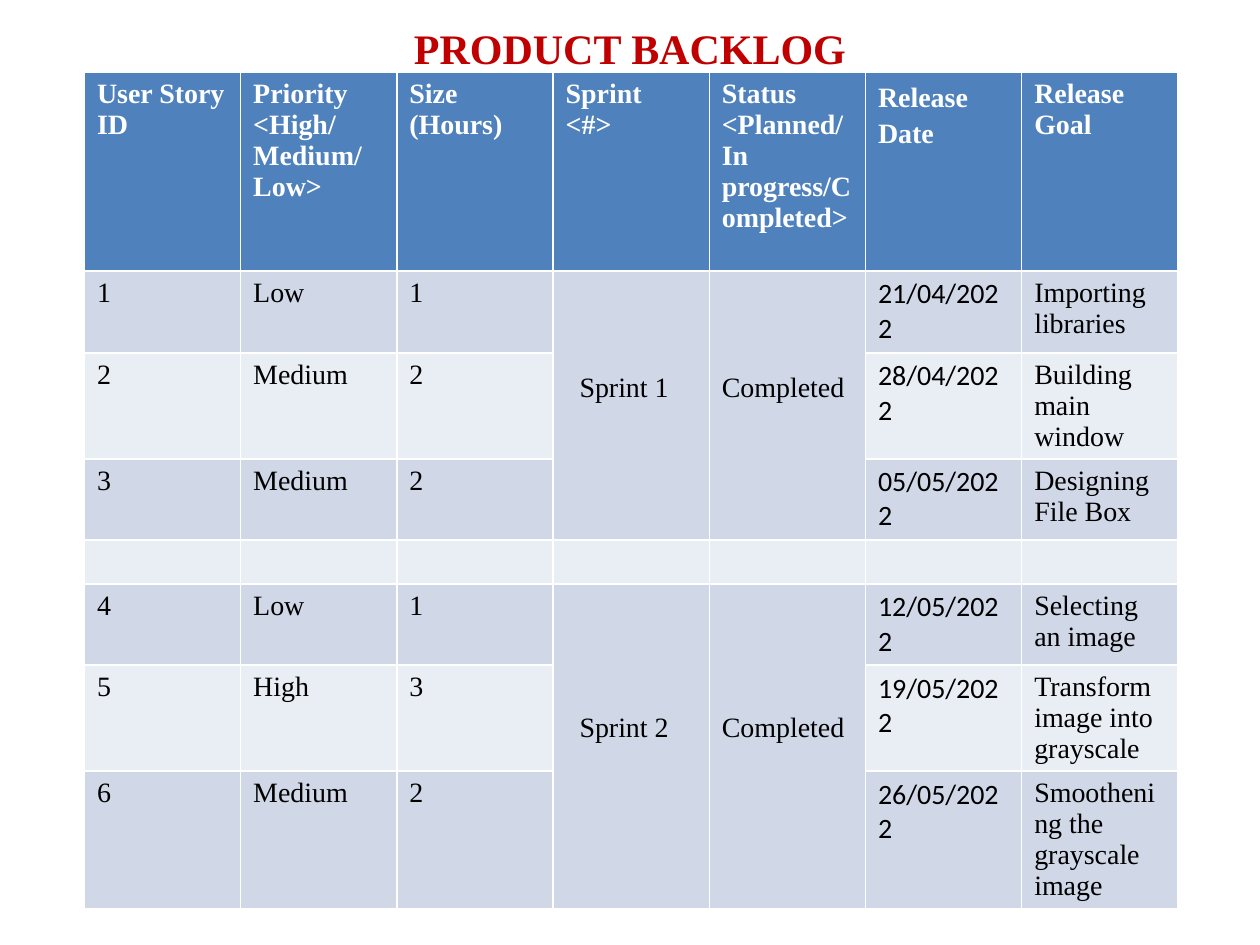
"""Build the product backlog slide with its sprint table."""
from pptx import Presentation
from pptx.dml import color
from pptx.enum import text
from pptx.util import Inches, Pt

SERIF = "Times New Roman"


def style(para, size, tint, bold=False, face=SERIF):
    font = para.font
    font.size, font.bold, font.name = Pt(size), bold, face
    font.color.rgb = color.RGBColor.from_string(tint)


deck = Presentation()
deck.slide_width, deck.slide_height = Inches(10), Inches(7.5)
slide = deck.slides.add_slide(deck.slide_layouts[5])

title = slide.shapes.title
title.left, title.top = Inches(0.5), Inches(0)
title.width, title.height = Inches(9), Inches(0.76)
title.text_frame.text = "PRODUCT BACKLOG"
title.text_frame.vertical_anchor = text.MSO_ANCHOR.MIDDLE
head = title.text_frame.paragraphs[0]
head.alignment = text.PP_ALIGN.CENTER
style(head, 24, "C00000", True)

rows = [
    ["User Story ID", "Priority\n<High/Medium/Low>", "Size\n(Hours)", "Sprint\n<#>",
     "Status\n<Planned/In progress/Completed>", "Release\nDate", "Release Goal"],
    ["1", "Low", "1", "Sprint 1", "Completed", "21/04/2022", "Importing libraries"],
    ["2", "Medium", "2", "", "", "28/04/2022", "Building main window"],
    ["3", "Medium", "2", "", "", "05/05/2022", "Designing File Box"],
    [""] * 7,
    ["4", "Low", "1", "Sprint 2", "Completed", "12/05/2022", "Selecting an image"],
    ["5", "High", "3", "", "", "19/05/2022", "Transform image into grayscale"],
    ["6", "Medium", "2", "", "", "26/05/2022", "Smoothening the grayscale image"],
]
tall = [1.58, 0.65, 0.84, 0.64, 0.35, 0.64, 0.84, 1.09]
DATE = 5

frame = slide.shapes.add_table(len(rows), 7, Inches(0.67), Inches(0.57),
                               Inches(8.68), Inches(sum(tall)))
table = frame.table
for col in table.columns:
    col.width = Inches(1.24)

for r, row in enumerate(rows):
    table.rows[r].height = Inches(tall[r])
    for c, word in enumerate(row):
        cell = table.cell(r, c)
        cell.text = word
        cell.fill.solid()
        tint = "4F81BD" if r == 0 else "D0D8E8" if r % 2 else "E9EDF4"
        cell.fill.fore_color.rgb = color.RGBColor.from_string(tint)
        if not word:
            cell.margin_top = cell.margin_bottom = Inches(0)
        for para in cell.text_frame.paragraphs:
            if r == 0:
                style(para, 16, "FFFFFF", True)
                if c == DATE:
                    para.line_spacing = 1.15
            else:
                style(para, 16, "000000", face="Calibri" if c == DATE else SERIF)

for top in (1, 5):
    for c, left in ((3, 0.21), (4, 0.1)):
        cell = table.cell(top, c)
        cell.merge(table.cell(top + 2, c))
        cell.vertical_anchor = text.MSO_ANCHOR.MIDDLE
        cell.margin_left, cell.margin_bottom = Inches(left), Inches(0.33)

deck.save("out.pptx")
